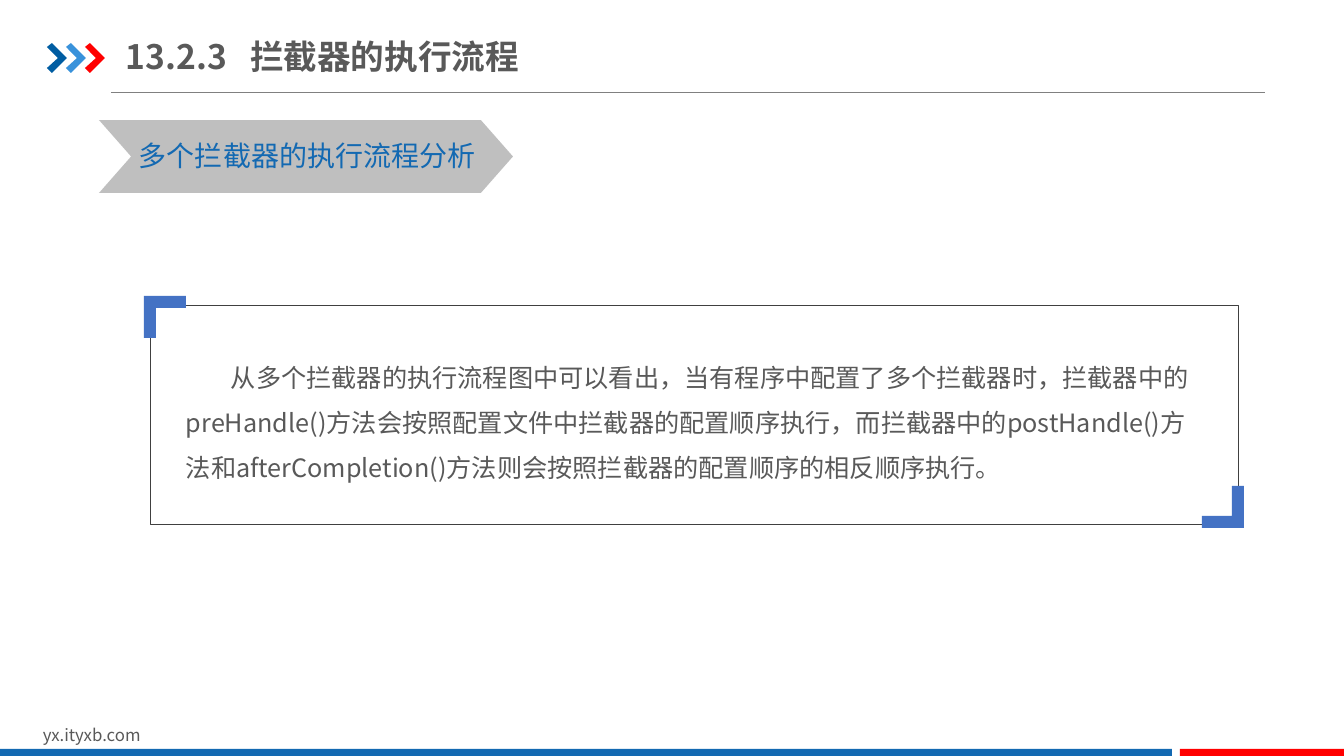
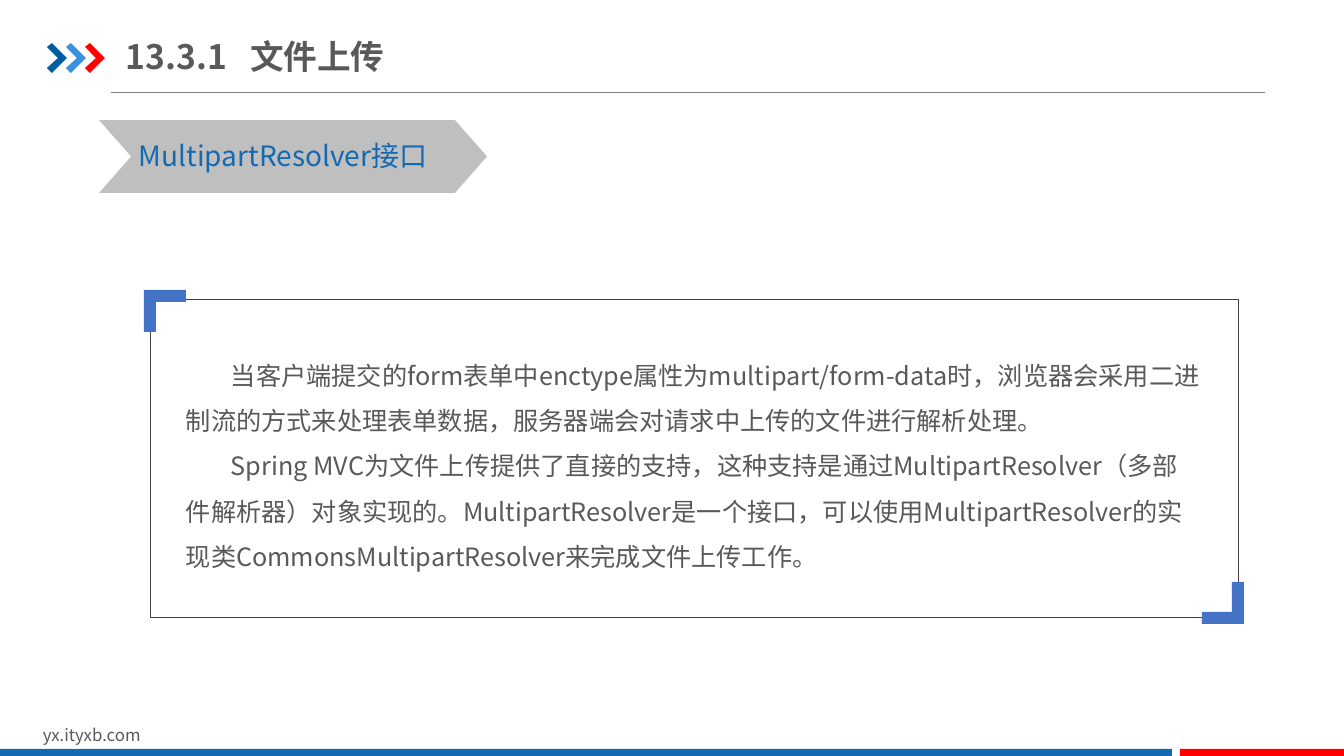
from lxml import etree
from pptx import Presentation
from pptx.dml.color import RGBColor
from pptx.enum.shapes import MSO_CONNECTOR, MSO_SHAPE
from pptx.enum.text import MSO_ANCHOR, MSO_AUTO_SIZE, PP_ALIGN
from pptx.oxml.ns import qn
from pptx.util import Emu, Pt

RECT, CHEVRON = MSO_SHAPE.RECTANGLE, MSO_SHAPE.CHEVRON
STRAIGHT = MSO_CONNECTOR.STRAIGHT
LEFT, MIDDLE, NO_FIT = PP_ALIGN.LEFT, MSO_ANCHOR.MIDDLE, MSO_AUTO_SIZE.NONE

PX = 914400 / 100.8
WIDTH, HEIGHT = 1344, 756
FONT = "Noto Sans CJK SC"
GREY, BLUE, RED = "595959", "1369B2", "FF0000"
SILVER, RULE, OUTLINE, ACCENT = "BFBFBF", "808080", "404040", "4472C4"

SITE = "yx.ityxb.com"
ARROW_COLORS = ["005DA2", "3992DB", RED]
ARROW_PITCH = 19
ARROW = [(47, 47), (52, 43), (67, 58), (52, 73), (47, 68), (58, 58)]
BRACKET = [(0, 0), (42, 0), (42, 12), (12, 12), (12, 42), (0, 42)]
BARS = [(0, 1172, BLUE), (1180, 164, RED)]
BOX_LEFT, BOX_WIDTH = 150, 1088

SLIDES = [
    {
        "title": "13.2.3\t拦截器的执行流程",
        "label": "多个拦截器的执行流程分析",
        "label_width": 414,
        "box": (305, 524),
        "brackets": (296, 528),
        "text_top": 342,
        "body": [
            "从多个拦截器的执行流程图中可以看出，当有程序中配置了多个拦截器时，"
            "拦截器中的preHandle()方法会按照配置文件中拦截器的配置顺序执行，"
            "而拦截器中的postHandle()方法和afterCompletion()方法则会按照"
            "拦截器的配置顺序的相反顺序执行。",
        ],
    },
    {
        "title": "13.3.1\t文件上传",
        "label": "MultipartResolver接口",
        "label_width": 388,
        "box": (299, 617),
        "brackets": (290, 624),
        "text_top": 340,
        "body": [
            "当客户端提交的form表单中enctype属性为multipart/form-data时，"
            "浏览器会采用二进制流的方式来处理表单数据，"
            "服务器端会对请求中上传的文件进行解析处理。",
            "Spring MVC为文件上传提供了直接的支持，这种支持是通过"
            "MultipartResolver（多部件解析器）对象实现的。"
            "MultipartResolver是一个接口，可以使用MultipartResolver的"
            "实现类CommonsMultipartResolver来完成文件上传工作。",
        ],
    },
]


def px(n):
    return Emu(round(n * PX))


def rgb(color):
    return RGBColor.from_string(color)


def paint(sp, color):
    sp.shadow.inherit = False
    sp.fill.solid()
    sp.fill.fore_color.rgb = rgb(color)
    sp.line.fill.background()


def add_block(slide, kind, x, y, w, h, color):
    sp = slide.shapes.add_shape(kind, px(x), px(y), px(w), px(h))
    paint(sp, color)
    return sp


def add_outline(slide, points, color):
    builder = slide.shapes.build_freeform(*points[0], scale=PX)
    builder.add_line_segments(points[1:], close=True)
    paint(builder.convert_to_shape(), color)


def format_text(tf, size, color, bold=False):
    for p in tf.paragraphs:
        p.alignment = LEFT
        for r in p.runs:
            r.font.size = Pt(size)
            r.font.bold = bold
            r.font.color.rgb = rgb(color)
            r.font.name = FONT
            ea = etree.SubElement(r.font._element, qn("a:ea"))
            ea.set("typeface", FONT)


def add_text(slide, x, y, w, h, lines, size, color, wrap=True):
    tf = slide.shapes.add_textbox(px(x), px(y), px(w), px(h)).text_frame
    tf.word_wrap = wrap
    tf.text = "\n".join(lines)
    format_text(tf, size, color)
    return tf


def add_frame(slide):
    rule = slide.shapes.add_connector(STRAIGHT, px(111), px(92), px(1265), px(92))
    rule.line.color.rgb = rgb(RULE)
    rule.line.width = Pt(0.5)
    etree.SubElement(rule.element.spPr, qn("a:effectLst"))
    for i, color in enumerate(ARROW_COLORS):
        add_outline(slide, [(x + i * ARROW_PITCH, y) for x, y in ARROW], color)
    add_text(slide, 33, 720, 320, 30, [SITE], 12, GREY)
    for x, w, color in BARS:
        add_block(slide, RECT, x, 749, w, HEIGHT - 749, color)


def move_to_layout(slide, layout):
    for sp in list(slide.shapes):
        if not sp.is_placeholder:
            layout.shapes.element.append(sp.element)


def set_title(slide, text):
    sp = slide.shapes.title
    sp.left, sp.top, sp.width, sp.height = px(126), px(29), px(1120), px(55)
    tf = sp.text_frame
    tf.auto_size = NO_FIT
    tf.vertical_anchor = MIDDLE
    tf.margin_left = tf.margin_right = 0
    tf.margin_top = tf.margin_bottom = px(7)
    tf.text = text
    tabs = etree.SubElement(tf.paragraphs[0]._p.get_or_add_pPr(), qn("a:tabLst"))
    etree.SubElement(tabs, qn("a:tab"), pos=str(px(124)), algn="l")
    format_text(tf, 24, GREY, bold=True)


def add_label(slide, text, width):
    sp = add_block(slide, CHEVRON, 99, 120, width, 73, SILVER)
    sp.adjustments[0] = 0.44
    add_text(slide, 129, 134, width - 46, 44, [text], 20, BLUE, wrap=False)


def add_body(slide, data):
    top, bottom = data["box"]
    tf = add_text(slide, 176, data["text_top"], 1035, bottom - data["text_top"],
                  data["body"], 18, GREY)
    for p in tf.paragraphs:
        p.line_spacing = 1.5
        p._p.get_or_add_pPr().set("indent", str(px(45)))

    box = slide.shapes.add_shape(RECT, px(BOX_LEFT), px(top), px(BOX_WIDTH), px(bottom - top))
    box.shadow.inherit = False
    box.fill.background()
    box.line.color.rgb = rgb(OUTLINE)
    box.line.width = Pt(0.25)

    upper, lower = data["brackets"]
    left, right = BOX_LEFT - 6, BOX_LEFT + BOX_WIDTH + 6
    for x0, y0, sign in [(left, upper, 1), (right, lower, -1)]:
        add_outline(slide, [(x0 + sign * x, y0 + sign * y) for x, y in BRACKET], ACCENT)


def main():
    prs = Presentation()
    prs.slide_width, prs.slide_height = px(WIDTH), px(HEIGHT)
    layout = prs.slide_layouts.get_by_name("Title Only")
    for ph in list(layout.placeholders)[1:]:
        layout.shapes.element.remove(ph.element)
    for i, data in enumerate(SLIDES):
        slide = prs.slides.add_slide(layout)
        if i == 0:
            add_frame(slide)
            move_to_layout(slide, layout)
        set_title(slide, data["title"])
        add_label(slide, data["label"], data["label_width"])
        add_body(slide, data)
    prs.save("out.pptx")


if __name__ == "__main__":
    main()
